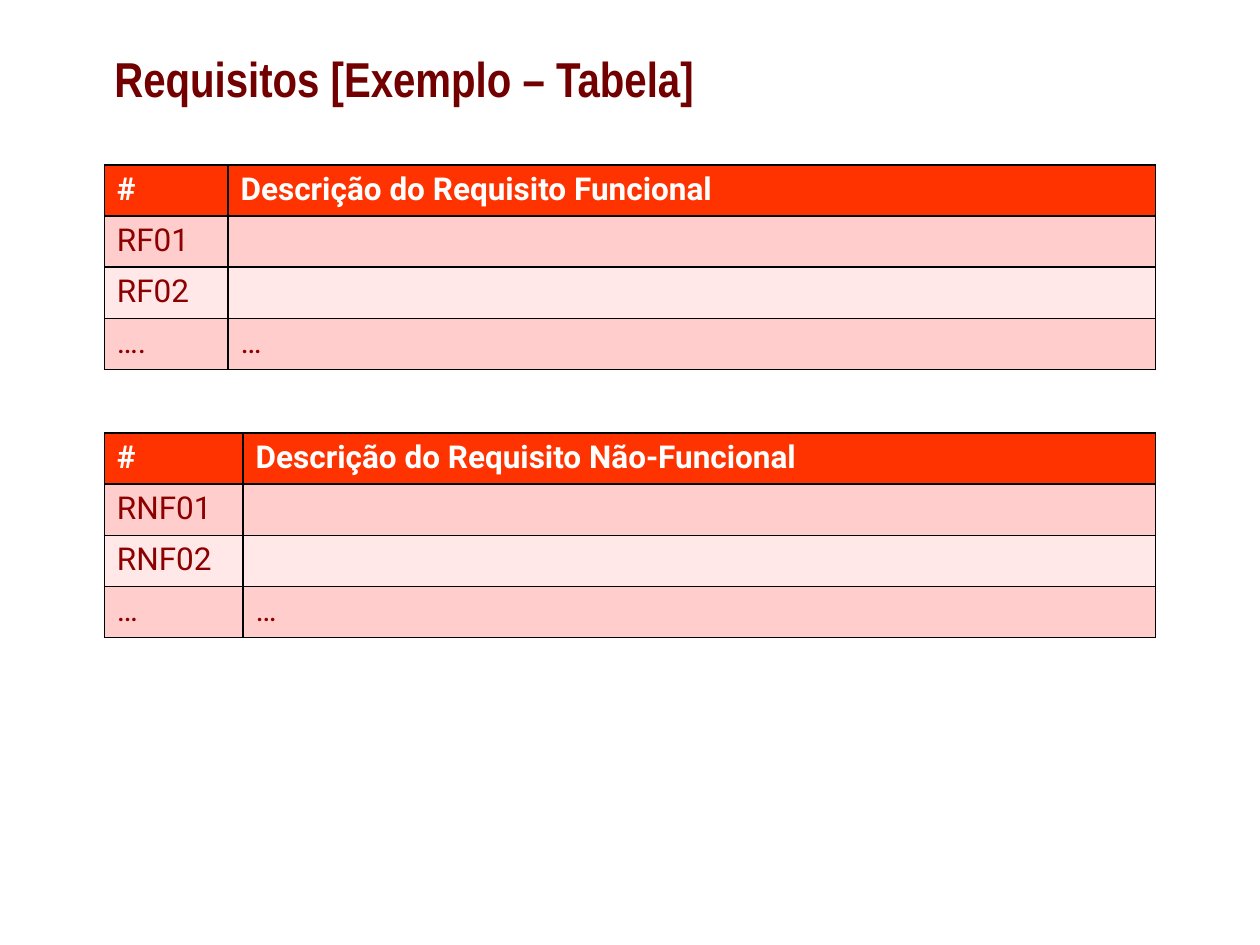
from dataclasses import dataclass

from lxml.etree import SubElement
from pptx import Presentation
from pptx.dml.color import RGBColor
from pptx.enum.text import MSO_ANCHOR
from pptx.oxml.ns import qn
from pptx.slide import Slide
from pptx.table import _Cell
from pptx.text.text import _Paragraph
from pptx.util import Pt


@dataclass(frozen=True)
class Theme:
    title_font: str = "Arial Narrow"
    table_font: str = "Roboto"
    title_size: float = 28
    table_size: float = 18
    title_color: str = "720000"
    header_color: str = "FFFFFF"
    body_color: str = "8C0000"
    header_fill: str = "FF3300"
    band_fills: tuple[str, str] = ("FFCECC", "FFE8E7")
    border_color: str = "000000"
    border_width: float = 1


@dataclass(frozen=True)
class RequirementTable:
    top: float
    id_width: float
    rows: list[tuple[str, str]]


THEME = Theme()
TABLE_LEFT, TABLE_WIDTH, ROW_HEIGHT = 59.6, 600.8, 29.2

TABLES = [
    RequirementTable(94.3, 70.7, [
        ("#", "Descrição do Requisito Funcional"),
        ("RF01", ""),
        ("RF02", ""),
        ("….", "…"),
    ]),
    RequirementTable(247.5, 79.3, [
        ("#", "Descrição do Requisito Não-Funcional"),
        ("RNF01", ""),
        ("RNF02", ""),
        ("…", "…"),
    ]),
]


def write_text(para: _Paragraph, text: str, color: str, **font_format) -> None:
    span = para.add_run()
    span.text = text
    span.font.color.rgb = RGBColor.from_string(color)
    for name, value in font_format.items():
        setattr(span.font, name, value)


def add_borders(cell: _Cell) -> None:
    """Draw all four sides; call before the fill, which must follow them in the XML."""
    properties = cell._tc.get_or_add_tcPr()
    for side in ("a:lnL", "a:lnR", "a:lnT", "a:lnB"):
        line = SubElement(properties, qn(side), w=str(Pt(THEME.border_width)))
        fill = SubElement(line, qn("a:solidFill"))
        SubElement(fill, qn("a:srgbClr"), val=THEME.border_color)


def add_title(page: Slide, text: str) -> None:
    box = page.shapes.add_textbox(Pt(58.3), Pt(15.1), Pt(573.8), Pt(58.3))
    frame_format = {"word_wrap": True, "vertical_anchor": MSO_ANCHOR.MIDDLE}
    for name, value in frame_format.items():
        setattr(box.text_frame, name, value)
    write_text(box.text_frame.paragraphs[0], text, THEME.title_color,
               name=THEME.title_font, size=Pt(THEME.title_size), bold=True)


def add_requirement_table(page: Slide, content: RequirementTable) -> None:
    row_count = len(content.rows)
    table = page.shapes.add_table(
        row_count, 2, Pt(TABLE_LEFT), Pt(content.top),
        Pt(TABLE_WIDTH), Pt(ROW_HEIGHT * row_count)).table
    widths = (content.id_width, TABLE_WIDTH - content.id_width)
    for column, width in zip(table.columns, widths):
        column.width = Pt(width)

    for row_index, texts in enumerate(content.rows):
        table.rows[row_index].height = Pt(ROW_HEIGHT)
        is_header = row_index == 0
        fill = THEME.header_fill if is_header else THEME.band_fills[(row_index - 1) % 2]
        color = THEME.header_color if is_header else THEME.body_color
        for column_index, text in enumerate(texts):
            cell = table.cell(row_index, column_index)
            add_borders(cell)
            cell.fill.solid()
            cell.fill.fore_color.rgb = RGBColor.from_string(fill)
            if text:
                write_text(cell.text_frame.paragraphs[0], text, color,
                           name=THEME.table_font, size=Pt(THEME.table_size),
                           bold=is_header)


def main() -> None:
    deck = Presentation()
    deck.slide_width, deck.slide_height = Pt(720), Pt(540)
    page = deck.slides.add_slide(deck.slide_layouts[6])
    add_title(page, "Requisitos [Exemplo – Tabela]")
    for content in TABLES:
        add_requirement_table(page, content)
    deck.save("out.pptx")


if __name__ == "__main__":
    main()
